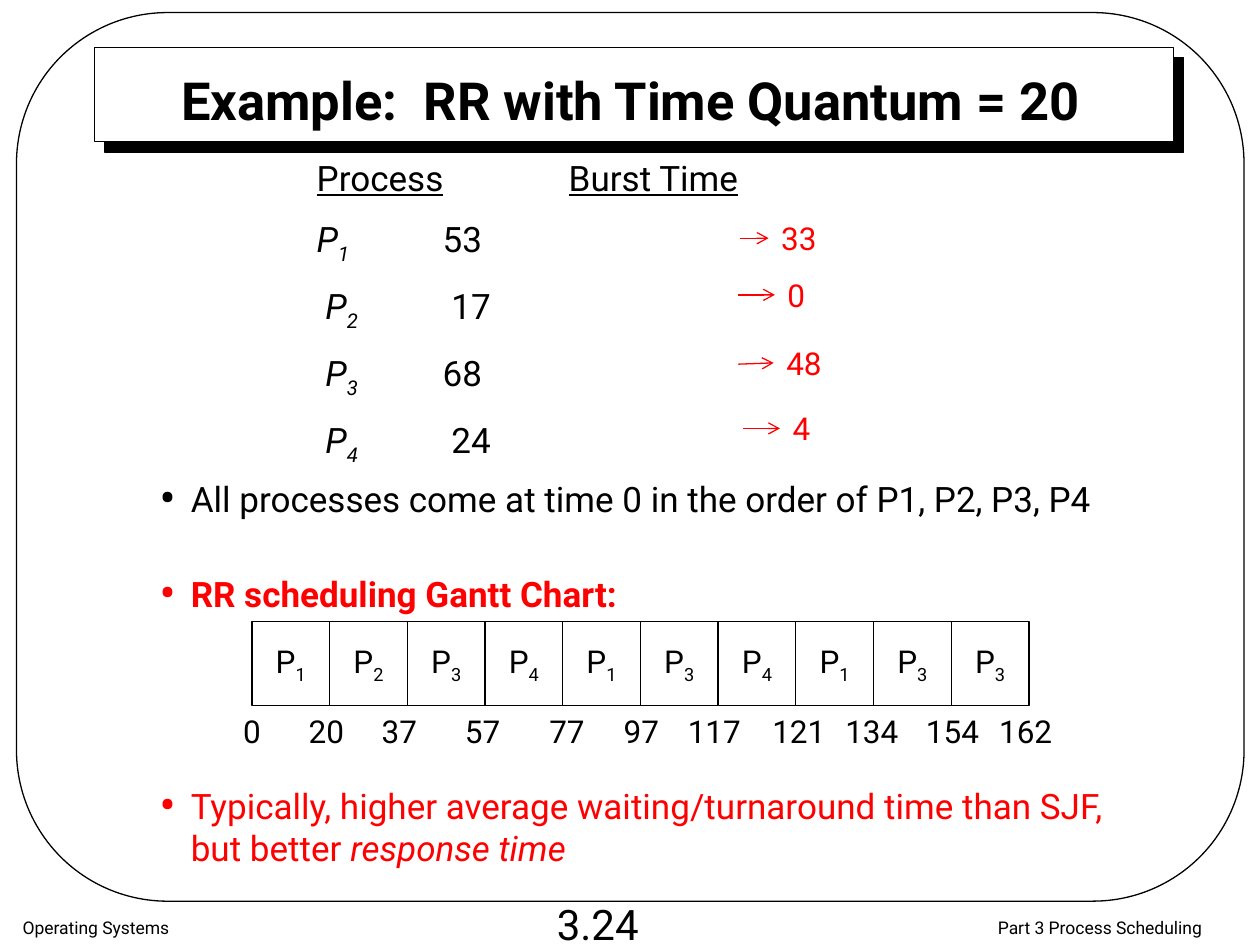
from dataclasses import dataclass

from lxml import etree
from pptx import Presentation
from pptx.dml.color import RGBColor
from pptx.enum import shapes, text
from pptx.oxml import ns
from pptx.util import Pt

COLORS = {"black": "000000", "white": "FFFFFF", "red": "FF0000"}
FONT = "Roboto"
LEFT, CENTER = text.PP_ALIGN.LEFT, text.PP_ALIGN.CENTER


@dataclass
class Run:
    text: str
    bold: bool = False
    italic: bool = False
    underline: bool = False
    sub: bool = False


@dataclass
class Box:
    left: float
    top: float
    width: float
    height: float


@dataclass
class Remaining:
    value: str
    box: Box
    start_x: float
    start_y: float


@dataclass
class Bullet:
    runs: list[Run]
    color: str
    before: float


def rgb(name: str) -> RGBColor:
    return RGBColor.from_string(COLORS[name])


def add_xml(parent, tag: str, **attrs):
    el = etree.SubElement(parent, ns.qn(tag))
    for key, value in attrs.items():
        el.set(key, str(value))
    return el


def write(p, runs: list[Run], size: float, color: str = "black", align=LEFT) -> None:
    p.alignment = align
    for run in runs:
        r = p.add_run()
        r.text = run.text
        f = r.font
        f.name, f.size = FONT, Pt(size)
        f.bold, f.italic, f.underline = run.bold, run.italic, run.underline
        f.color.rgb = rgb(color)
        if run.sub:
            r._r.get_or_add_rPr().set("baseline", "-25000")


def add_box(s, box: Box, wrap: bool = True, middle: bool = False):
    sp = s.shapes.add_textbox(Pt(box.left), Pt(box.top), Pt(box.width), Pt(box.height))
    tf = sp.text_frame
    tf.word_wrap = wrap
    tf.vertical_anchor = text.MSO_ANCHOR.MIDDLE if middle else text.MSO_ANCHOR.TOP
    return sp


def add_label(s, box: Box, value: str, size: float, color: str = "black",
              align=CENTER, bold: bool = False):
    sp = add_box(s, box, wrap=False, middle=True)
    write(sp.text_frame.paragraphs[0], [Run(value, bold=bold)], size, color, align)
    return sp


def add_outline(s, kind, box: Box, fill: str | None = None):
    sp = s.shapes.add_shape(kind, Pt(box.left), Pt(box.top), Pt(box.width), Pt(box.height))
    sp.shadow.inherit = False
    if fill:
        sp.fill.solid()
        sp.fill.fore_color.rgb = rgb(fill)
    else:
        sp.fill.background()
    sp.line.color.rgb = rgb("black")
    sp.line.width = Pt(0.75)
    return sp


def add_frame(s) -> None:
    panel = add_outline(s, shapes.MSO_SHAPE.RECTANGLE, Box(54, 27, 616.5, 54), "white")
    effects = panel._element.spPr.find(ns.qn("a:effectLst"))
    shadow = add_xml(effects, "a:outerShdw", dist=Pt(8.5), dir=45 * 60000,
                     algn="ctr", rotWithShape=0)
    add_xml(shadow, "a:srgbClr", val=COLORS["black"])
    border = add_outline(s, shapes.MSO_SHAPE.ROUNDED_RECTANGLE, Box(9.4, 7.2, 701.5, 507.8))
    border.adjustments[0] = 0.17
    add_label(s, Box(77, 39, 567, 36), "Example:  RR with Time Quantum = 20", 30, bold=True)
    add_label(s, Box(5.8, 520, 278, 20), "Operating Systems", 10, align=LEFT)
    add_label(s, Box(309.6, 510, 64, 36), "3.24", 24)
    add_label(s, Box(559, 520, 139, 20), "Part 3 Process Scheduling", 10)


def add_processes(s, bursts: list[str]) -> None:
    tf = add_box(s, Box(181, 89.5, 250, 180)).text_frame
    tf.margin_left = tf.margin_right = tf.margin_top = tf.margin_bottom = 0
    header = [Run("Process", underline=True), Run("\t"), Run("Burst Time", underline=True)]
    rows = [[Run(" P" if i > 1 else "P", italic=True), Run(str(i), italic=True, sub=True),
             Run("\t" + burst)] for i, burst in enumerate(bursts, 1)]
    for i, runs in enumerate([header] + rows):
        p = tf.add_paragraph() if i else tf.paragraphs[0]
        if i:
            p.space_before = Pt(11)
        stops = add_xml(p._p.get_or_add_pPr(), "a:tabLst")
        add_xml(stops, "a:tab", pos=Pt(72 if i else 144), algn="l")
        write(p, runs, 20)


def add_remaining(s, item: Remaining) -> None:
    sp = add_label(s, item.box, item.value, 18, "red")
    c = s.shapes.add_connector(shapes.MSO_CONNECTOR.STRAIGHT, Pt(item.start_x),
                               Pt(item.start_y), sp.left, sp.top + sp.height // 2)
    c.end_connect(sp, 1)
    c.line.color.rgb = rgb("red")
    c.line.width = Pt(0.75)
    add_xml(c.line._get_or_add_ln(), "a:tailEnd", type="arrow")
    add_xml(c._element.spPr, "a:effectLst")


def add_bullets(s, bullets: list[Bullet]) -> None:
    tf = add_box(s, Box(84, 269.3, 554, 230)).text_frame
    for i, bullet in enumerate(bullets):
        p = tf.add_paragraph() if i else tf.paragraphs[0]
        if i:
            p.space_before = Pt(bullet.before)
        pPr = p._p.get_or_add_pPr()
        pPr.set("marL", str(Pt(18)))
        pPr.set("indent", str(Pt(-18)))
        add_xml(pPr, "a:buSzPct", val=140000)
        add_xml(pPr, "a:buFont", typeface=FONT)
        add_xml(pPr, "a:buChar", char="•")
        write(p, bullet.runs, 20, bullet.color)


def add_gantt(s, order: str, times: list[tuple[str, float]]) -> None:
    left, top, width, height = 144, 355, 44.4, 48.2
    for i, process in enumerate(order):
        cell = add_outline(s, shapes.MSO_SHAPE.RECTANGLE,
                           Box(left + i * width, top, width, height), "white")
        tf = cell.text_frame
        tf.word_wrap = False
        tf.vertical_anchor = text.MSO_ANCHOR.MIDDLE
        write(tf.paragraphs[0], [Run("P"), Run(process, sub=True)], 18, align=CENTER)
    for value, center in times:
        add_label(s, Box(center - 22.3, top + height, 44.6, 29), value, 18)


def main() -> None:
    prs = Presentation()
    prs.slide_width, prs.slide_height = Pt(720), Pt(540)
    s = prs.slides.add_slide(prs.slide_layouts[6])
    add_frame(s)
    add_processes(s, ["53", " 17", "68", " 24"])
    add_bullets(s, [
        Bullet([Run("All processes come at time 0 in the order of P1, P2, P3, P4")], "black", 0),
        Bullet([Run("RR scheduling Gantt Chart:", bold=True)], "red", 30.3),
        Bullet([Run("Typically, higher average waiting/turnaround time than SJF, but better "),
                Run("response time", italic=True)], "red", 97.2),
    ])
    add_gantt(s, "1234134133", [
        ("0", 144), ("20", 186.5), ("37", 228.2), ("57", 275.8), ("77", 324), ("97", 366.5),
        ("117", 408.2), ("121", 456.5), ("134", 498.2), ("154", 544.3), ("162", 586.1)])
    for item in [
        Remaining("33", Box(439.2, 121.7, 34.6, 28.8), 422.6, 136.1),
        Remaining("0", Box(442.8, 154.1, 24.5, 28.8), 421.9, 168.5),
        Remaining("48", Box(442.1, 193, 34.6, 28.8), 421.9, 208.1),
        Remaining("4", Box(445.7, 230.4, 24.5, 28.8), 424.8, 244.8),
    ]:
        add_remaining(s, item)
    prs.save("out.pptx")


if __name__ == "__main__":
    main()
